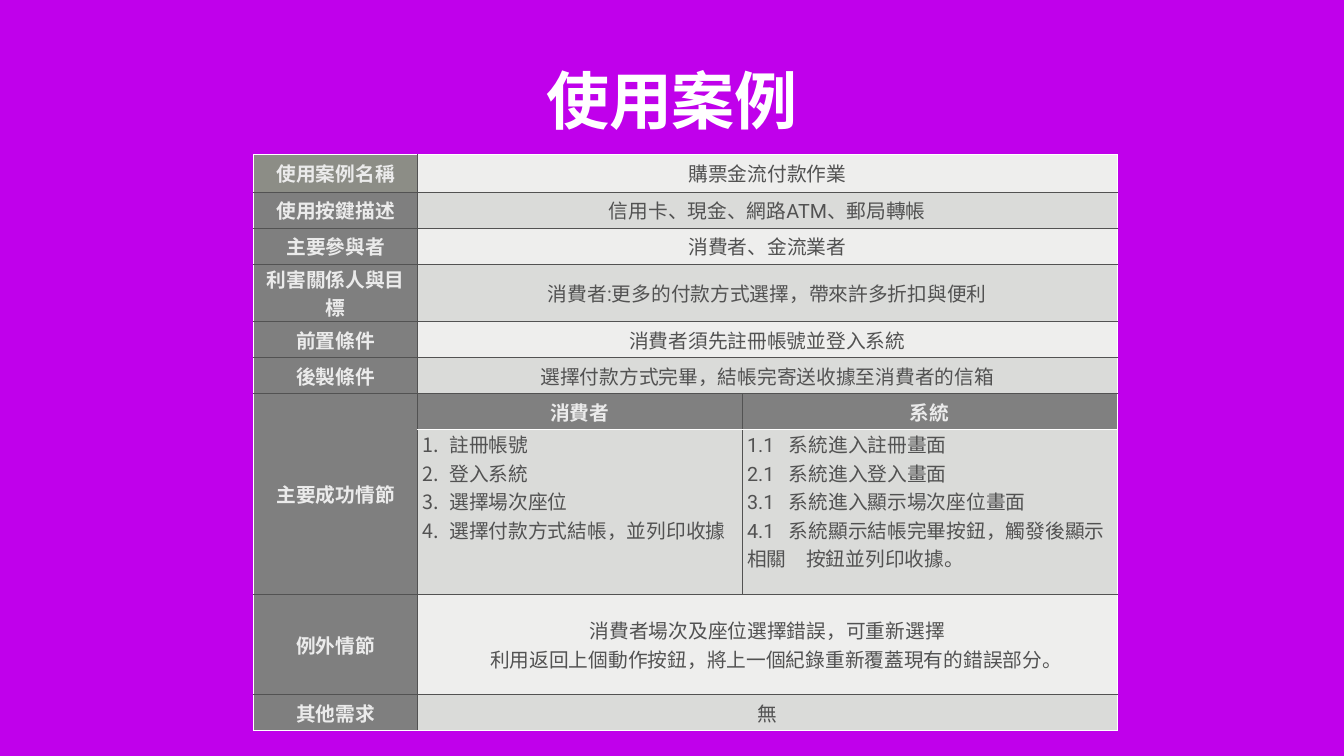
from pptx import Presentation
from pptx.dml.color import RGBColor
from pptx.enum import text
from pptx.oxml import ns, xmlchemy
from pptx.util import Inches, Pt

LATIN, CJK = "Roboto", "Noto Sans CJK SC"
WHITE, PALE, DARK = "FFFFFF", "EBEBEB", "525252"
LABEL_FILL, FIRST_LABEL_FILL, HEAD_FILL = "7F7F7F", "8C8D86", "808080"
BANDS = ("EEEEED", "DADBD9")
CENTER, LEFT = text.PP_ALIGN.CENTER, text.PP_ALIGN.LEFT

COLS = (2.31, 4.58, 5.29)
ROWS = (0.53, 0.51, 0.51, 0.67, 0.51, 0.51, 0.51, 2.32, 1.42, 0.51)
HEAD_ROW, STEPS_ROW, EXCEPTION_ROW = 6, 7, 8

# Row number: label and text that spans the two right columns
ENTRIES = {
    0: ("使用案例名稱", ["購票金流付款作業"]),
    1: ("使用按鍵描述", ["信用卡、現金、網路ATM、郵局轉帳"]),
    2: ("主要參與者", ["消費者、金流業者"]),
    3: ("利害關係人與目標", ["消費者:更多的付款方式選擇，帶來許多折扣與便利"]),
    4: ("前置條件", ["消費者須先註冊帳號並登入系統"]),
    5: ("後製條件", ["選擇付款方式完畢，結帳完寄送收據至消費者的信箱"]),
    EXCEPTION_ROW: ("例外情節", [
        "消費者場次及座位選擇錯誤，可重新選擇",
        "利用返回上個動作按鈕，將上一個紀錄重新覆蓋現有的錯誤部分。"]),
    9: ("其他需求", ["無"]),
}
USER_STEPS = ["註冊帳號", "登入系統", "選擇場次座位", "選擇付款方式結帳，並列印收據"]
SYSTEM_STEPS = ["系統進入註冊畫面", "系統進入登入畫面", "系統進入顯示場次座位畫面",
                "系統顯示結帳完畢按鈕，觸發後顯示相關　按鈕並列印收據。"]


def rgb(value):
    return RGBColor.from_string(value)


def add_child(parent, tag, **attrs):
    child = xmlchemy.OxmlElement(tag)
    for name, value in attrs.items():
        child.set(name, str(value))
    parent.append(child)
    return child


def style(p, size, color, bold, align, font=LATIN):
    p.alignment = align
    p.font.name = font
    p.font.size = Pt(size)
    p.font.bold = bold
    p.font.color.rgb = rgb(color)


def set_margins(box, x, y):
    box.margin_left = box.margin_right = Inches(x)
    box.margin_top = box.margin_bottom = Inches(y)


def fill_cell(cell, lines, fill, color=DARK, bold=False, align=CENTER, font=LATIN):
    set_margins(cell, 0.07, 0)
    cell.vertical_anchor = text.MSO_ANCHOR.MIDDLE if align == CENTER else text.MSO_ANCHOR.TOP
    cell.fill.solid()
    cell.fill.fore_color.rgb = rgb(fill)
    cell.text_frame.text = "\n".join(lines)
    for p in cell.text_frame.paragraphs:
        style(p, 20, color, bold, align, font)


def fill_label(cell, label, fill=LABEL_FILL):
    fill_cell(cell, [label], fill, PALE, True)


def set_borders(table):
    """White around the table and under the step headings, dark elsewhere."""
    last_row, last_col = len(ROWS) - 1, len(COLS) - 1
    for r in range(len(ROWS)):
        for c in range(len(COLS)):
            cell = table.cell(r, c)
            right = c + (cell.span_width if cell.is_merge_origin else 1) - 1
            white = {
                "L": c == 0,
                "R": right == last_col,
                "T": r == 0 or (r == STEPS_ROW and c > 0),
                "B": r == last_row or (r == HEAD_ROW and c > 0),
            }
            tcPr = cell._tc.get_or_add_tcPr()
            for side, is_white in white.items():
                ln = add_child(tcPr, f"a:ln{side}", w=Pt(1))
                add_child(add_child(ln, "a:solidFill"), "a:srgbClr",
                          val=WHITE if is_white else DARK)


def number_steps(cell):
    for p in cell.text_frame.paragraphs:
        pPr = p._p.get_or_add_pPr()
        pPr.set("marL", str(Inches(0.38)))
        pPr.set("indent", str(Inches(-0.38)))
        bullet = xmlchemy.OxmlElement("a:buAutoNum")
        bullet.set("type", "arabicPeriod")
        pPr.insert_element_before(bullet, "a:defRPr")


def add_tab_stop(cell, pos):
    for p in cell.text_frame.paragraphs:
        tabs = xmlchemy.OxmlElement("a:tabLst")
        add_child(tabs, "a:tab", pos=Inches(pos), algn="l")
        p._p.get_or_add_pPr().insert_element_before(tabs, "a:defRPr")


def add_title(slide):
    title = slide.shapes.title
    title.left, title.top = Inches(1.11), Inches(0.22)
    title.width, title.height = Inches(16.74), Inches(2.35)
    tf = title.text_frame
    set_margins(tf, 0.06, 0.06)
    tf.vertical_anchor = text.MSO_ANCHOR.MIDDLE
    tf.text = "使用案例"
    style(tf.paragraphs[0], 64, WHITE, True, CENTER)


def add_use_case_table(slide):
    table = slide.shapes.add_table(
        len(ROWS), len(COLS), Inches(3.58), Inches(2.18),
        Inches(sum(COLS)), Inches(sum(ROWS))).table
    table.first_row = table.horz_banding = False
    for column, width in zip(table.columns, COLS):
        column.width = Inches(width)
    for row, height in zip(table.rows, ROWS):
        row.height = Inches(height)

    for r in ENTRIES:
        table.cell(r, 1).merge(table.cell(r, 2))
    table.cell(HEAD_ROW, 0).merge(table.cell(STEPS_ROW, 0))
    set_borders(table)

    for r, (label, lines) in ENTRIES.items():
        fill_label(table.cell(r, 0), label, LABEL_FILL if r else FIRST_LABEL_FILL)
        fill_cell(table.cell(r, 1), lines, BANDS[r % 2], font=LATIN if r else CJK)
    indented = table.cell(EXCEPTION_ROW, 1).text_frame.paragraphs[1]
    indented._p.get_or_add_pPr().set("marL", str(Inches(0.25)))

    fill_label(table.cell(HEAD_ROW, 0), "主要成功情節")
    system_lines = [f"{n}.1\t{step}" for n, step in enumerate(SYSTEM_STEPS, 1)]
    columns = (("消費者", USER_STEPS), ("系統", system_lines))
    for c, (heading, steps) in enumerate(columns, 1):
        fill_label(table.cell(HEAD_ROW, c), heading, HEAD_FILL)
        fill_cell(table.cell(STEPS_ROW, c), steps, BANDS[1], align=LEFT)
    number_steps(table.cell(STEPS_ROW, 1))
    add_tab_stop(table.cell(STEPS_ROW, 2), 0.59)


def main():
    prs = Presentation()
    prs.slide_width, prs.slide_height = Inches(18.96), Inches(10.67)
    slide = prs.slides.add_slide(prs.slide_layouts[5])
    slide.background.fill.solid()
    slide.background.fill.fore_color.rgb = rgb("C000EB")
    add_title(slide)
    add_use_case_table(slide)
    prs.save("out.pptx")


if __name__ == "__main__":
    main()
